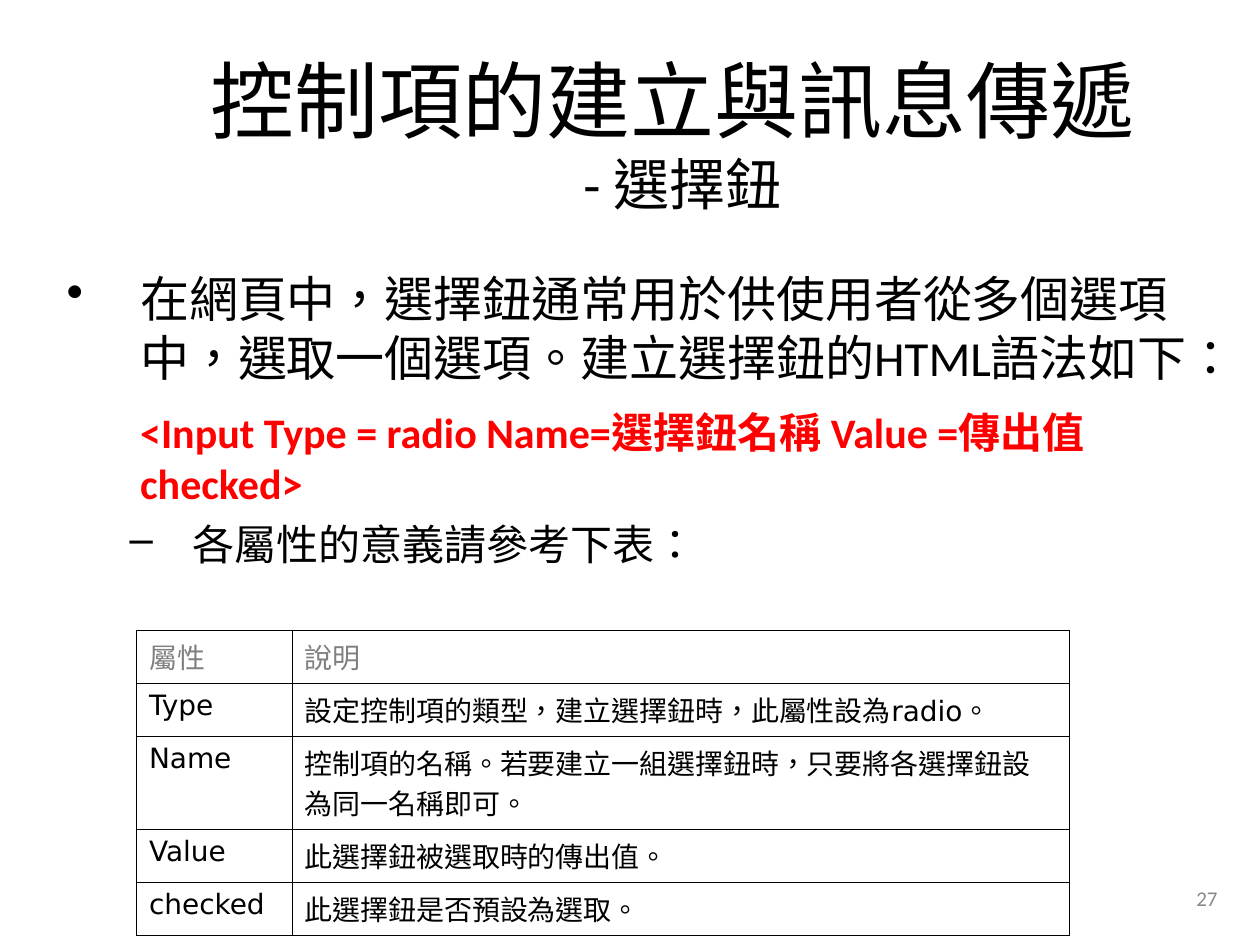
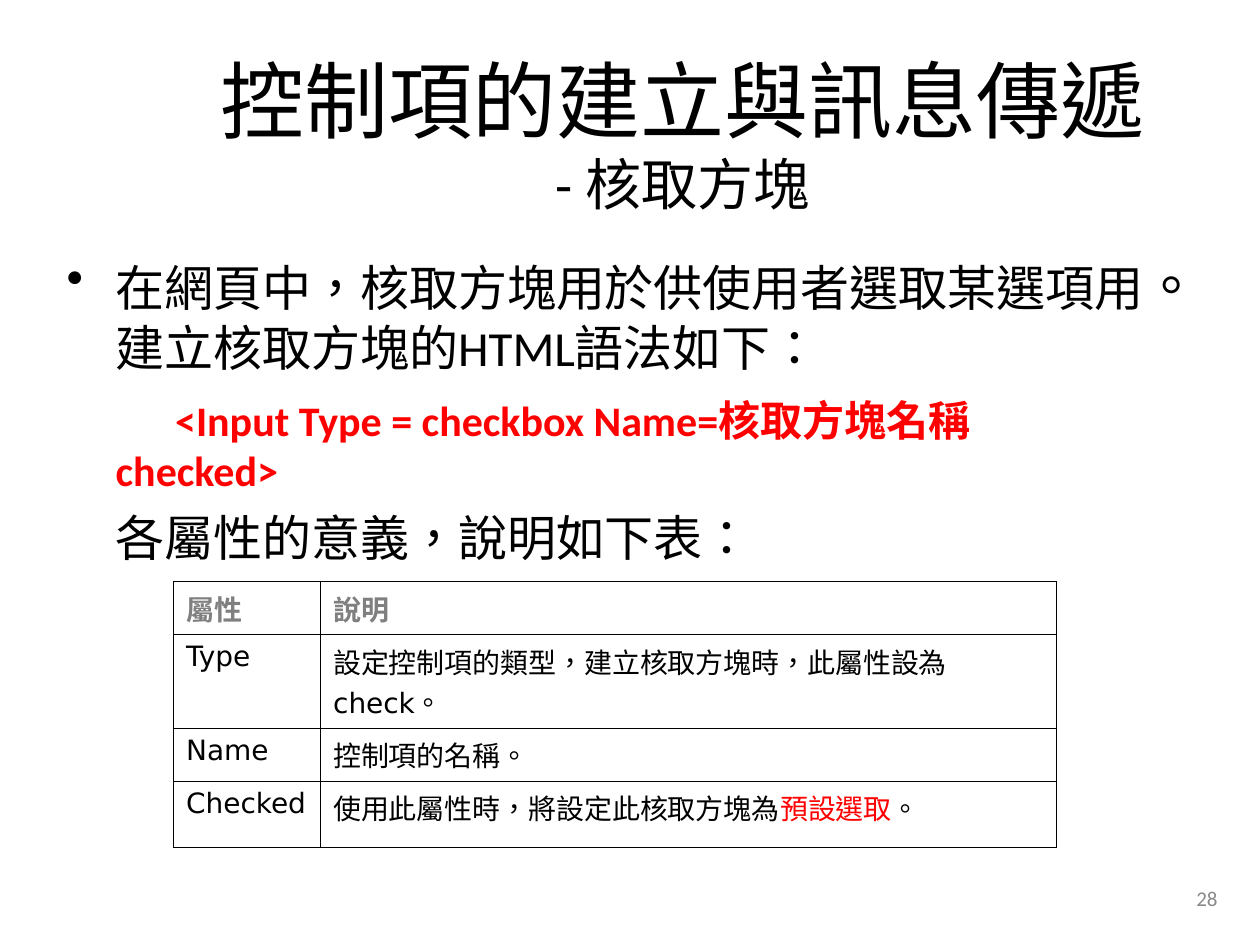
"""Build two slides on HTML radio buttons and checkboxes."""
from dataclasses import dataclass

from lxml.etree import SubElement
from pptx import Presentation
from pptx.dml.color import RGBColor as Rgb
from pptx.enum.text import MSO_ANCHOR as Anchor, PP_ALIGN as Align
from pptx.oxml import parse_xml
from pptx.oxml.ns import nsdecls, qn
from pptx.util import Pt


@dataclass(frozen=True)
class Theme:
    ink: str = "000000"
    accent: str = "FF0000"
    header: str = "808080"
    footer: str = "898989"
    paper: str = "FFFFFF"
    font: str = "Calibri"
    table_font: str = "Times New Roman"
    term_font: str = "DejaVu Sans"
    title_size: int = 48
    subtitle_size: int = 32
    body_size: int = 28
    code_size: int = 24
    table_size: int = 16
    footer_size: int = 12
    border_width: float = 0.45


THEME = Theme()
TITLE = "控制項的建立與訊息傳遞"
ONE_LINE_ROW = 30.3
TWO_LINE_ROW = 53.3
LAST_ROW = 38


def style_run(run, size, font=THEME.font, color=THEME.ink, bold=False):
    run.font.size = Pt(size)
    run.font.name = font
    run.font.color.rgb = Rgb.from_string(color)
    run.font.bold = bold
    run._r.get_or_add_rPr().set("lang", "zh-TW")


def add_run(paragraph, text, size, **style):
    run = paragraph.add_run()
    run.text = text
    style_run(run, size, **style)


def add_text_frame(slide, left, top, width, height, anchor=Anchor.TOP):
    box = slide.shapes.add_textbox(Pt(left), Pt(top), Pt(width), Pt(height))
    frame = box.text_frame
    frame.word_wrap = True
    frame.vertical_anchor = anchor
    return frame


def add_title(slide, title, subtitle):
    frame = add_text_frame(slide, 68.4, 24.5, 643, 103, Anchor.MIDDLE)
    paragraph = frame.paragraphs[0]
    paragraph.alignment = Align.CENTER
    add_run(paragraph, title, THEME.title_size)
    paragraph.add_line_break()
    add_run(paragraph, subtitle, THEME.subtitle_size)


def add_page_number(slide, number):
    frame = add_text_frame(slide, 553, 495.4, 149.8, 36, Anchor.MIDDLE)
    frame.text = str(number)
    paragraph = frame.paragraphs[0]
    paragraph.alignment = Align.RIGHT
    style_run(paragraph.runs[0], THEME.footer_size, color=THEME.footer)


def format_paragraph(paragraph, margin, indent, before, bullet=None):
    paragraph.space_before = Pt(before)
    properties = paragraph._p.get_or_add_pPr()
    properties.set("marL", str(Pt(margin)))
    properties.set("indent", str(Pt(indent)))
    if bullet:
        SubElement(properties, qn("a:buChar"), char=bullet)


def add_body_text(paragraph, text, size, margin, indent, before, bullet=None, **style):
    paragraph.text = text
    format_paragraph(paragraph, margin, indent, before, bullet)
    for run in paragraph.runs:
        style_run(run, size, **style)


def add_code(paragraph, text, margin, indent, before):
    add_body_text(paragraph, text, THEME.code_size, margin, indent, before,
                  color=THEME.accent, bold=True)


def set_borders(cell):
    properties = cell._tc.get_or_add_tcPr()
    for index, side in enumerate(("lnL", "lnR", "lnT", "lnB")):
        properties.insert(index, parse_xml(
            f'<a:{side} {nsdecls("a")} w="{Pt(THEME.border_width)}"><a:solidFill>'
            f'<a:srgbClr val="{THEME.ink}"/></a:solidFill></a:{side}>'))


def fill_cell(cell, pieces, is_header, header_bold):
    if is_header:
        cell.fill.solid()
        cell.fill.fore_color.rgb = Rgb.from_string(THEME.paper)
    else:
        cell.fill.background()
    set_borders(cell)
    paragraph = cell.text_frame.paragraphs[0]
    for piece in [pieces] if isinstance(pieces, str) else pieces:
        text, color = piece if isinstance(piece, tuple) else (piece, THEME.ink)
        add_run(paragraph, text, THEME.table_size,
                font=THEME.term_font if text.isascii() else THEME.table_font,
                color=THEME.header if is_header else color,
                bold=is_header and header_bold)


def add_attribute_table(slide, left, top, widths, heights, rows, header_bold=False):
    table = slide.shapes.add_table(len(rows), len(widths), Pt(left), Pt(top),
                                   Pt(sum(widths)), Pt(sum(heights))).table
    table.first_row = table.horz_banding = False
    for column, width in zip(table.columns, widths):
        column.width = Pt(width)
    for row_index, (height, row) in enumerate(zip(heights, rows)):
        table.rows[row_index].height = Pt(height)
        for column_index, pieces in enumerate(row):
            fill_cell(table.cell(row_index, column_index), pieces,
                      row_index == 0, header_bold)


def build_radio_slide(slide):
    add_title(slide, TITLE + " ", "- 選擇鈕")
    frame = add_text_frame(slide, 31, 149.8, 663, 330)
    add_body_text(frame.paragraphs[0],
                  "在網頁中，選擇鈕通常用於供使用者從多個選項中，選取一個選項。"
                  "建立選擇鈕的HTML語法如下：",
                  THEME.body_size, 42, -42, 7, "•")
    add_code(frame.add_paragraph(),
             "<Input Type = radio Name=選擇鈕名稱 Value =傳出值 checked>", 42, 0, 12)
    add_body_text(frame.add_paragraph(), "各屬性的意義請參考下表：",
                  THEME.code_size, 72, -36, 6, "–")
    add_page_number(slide, 27)
    heights = (ONE_LINE_ROW, ONE_LINE_ROW, TWO_LINE_ROW, ONE_LINE_ROW, ONE_LINE_ROW)
    add_attribute_table(slide, 78, 360, (89, 444), heights, (
        ("屬性", "說明"),
        ("Type", ("設定控制項的類型，建立選擇鈕時，此屬性設為", "radio", "。")),
        ("Name", "控制項的名稱。若要建立一組選擇鈕時，只要將各選擇鈕設為同一名稱即可。"),
        ("Value", "此選擇鈕被選取時的傳出值。"),
        ("checked", "此選擇鈕是否預設為選取。"),
    ))


def build_checkbox_slide(slide):
    add_title(slide, TITLE, "- 核取方塊")
    frame = add_text_frame(slide, 31, 139.7, 663, 369)
    intro = frame.paragraphs[0]
    format_paragraph(intro, 28, -28, 7, "•")
    add_run(intro, "在網頁中，核取方塊用於供使用者選取某選項用", THEME.body_size)
    add_run(intro, "。", THEME.subtitle_size)
    add_run(intro, "建立核取方塊的HTML語法如下：", THEME.body_size)
    add_code(frame.add_paragraph(),
             "<Input Type = checkbox Name=核取方塊名稱\vchecked>", 28, 34, 10)
    add_body_text(frame.add_paragraph(), "各屬性的意義，說明如下表：",
                  THEME.body_size, 28, 0, 7)
    add_page_number(slide, 28)
    heights = (ONE_LINE_ROW, TWO_LINE_ROW, ONE_LINE_ROW, LAST_ROW)
    add_attribute_table(slide, 99.2, 332.4, (84, 420.5), heights, (
        ("屬性", "說明"),
        ("Type", ("設定控制項的類型，建立核取方塊時，此屬性設為", "check", "。")),
        ("Name", "控制項的名稱。"),
        ("Checked", ("使用此屬性時，將設定此核取方塊為", ("預設選取", THEME.accent), "。")),
    ), header_bold=True)


def main():
    presentation = Presentation()
    presentation.slide_width, presentation.slide_height = Pt(720), Pt(540)
    blank = presentation.slide_layouts[6]
    for build in (build_radio_slide, build_checkbox_slide):
        build(presentation.slides.add_slide(blank))
    presentation.save("out.pptx")


if __name__ == "__main__":
    main()
